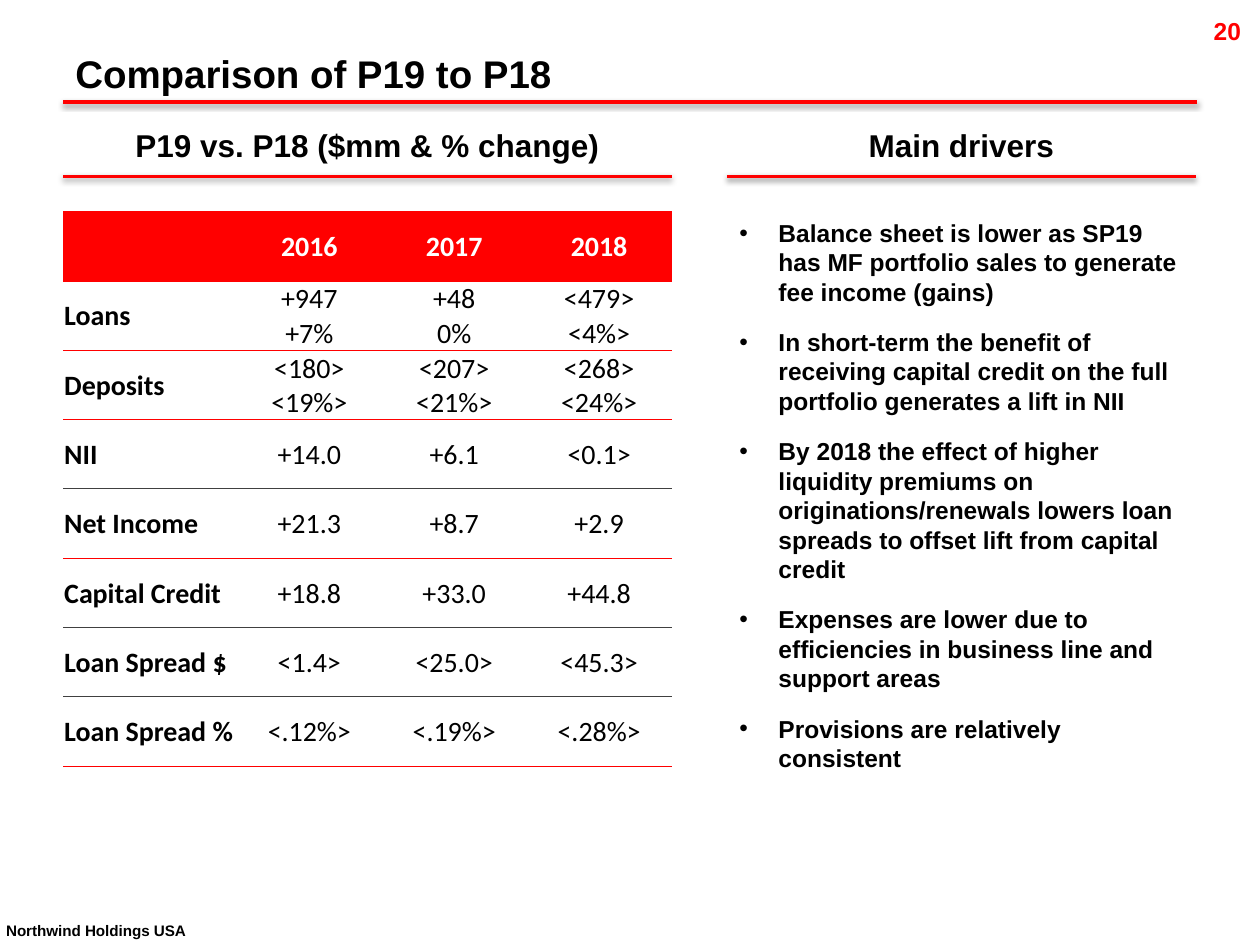
from lxml.etree import SubElement
from pptx import Presentation
from pptx.dml.color import RGBColor
from pptx.enum.shapes import MSO_CONNECTOR
from pptx.enum.text import MSO_ANCHOR as Anchor, PP_ALIGN as Align
from pptx.oxml import parse_xml
from pptx.oxml.ns import nsdecls, qn
from pptx.util import Inches, Pt

RED = RGBColor(255, 0, 0)
BLACK = RGBColor(0, 0, 0)
WHITE = RGBColor(255, 255, 255)
GRAY = RGBColor(64, 64, 64)

TITLE = "Comparison of P19 to P18"
PAGE = "20"
FOOT = "Northwind Holdings USA"
HEADS = ["P19 vs. P18 ($mm & % change)", "Main drivers"]
ROWS = [
    ["", "2016", "2017", "2018"],
    ["Loans", "+947\n+7%", "+48\n0%", "<479>\n<4%>"],
    ["Deposits", "<180>\n<19%>", "<207>\n<21%>", "<268>\n<24%>"],
    ["NII", "+14.0", "+6.1", "<0.1>"],
    ["Net Income", "+21.3", "+8.7", "+2.9"],
    ["Capital Credit", "+18.8", "+33.0", "+44.8"],
    ["Loan Spread $", "<1.4>", "<25.0>", "<45.3>"],
    ["Loan Spread %", "<.12%>", "<.19%>", "<.28%>"],
]
DARK = {"NII", "Capital Credit", "Loan Spread $"}
DRIVERS = [
    "Balance sheet is lower as SP19 has MF portfolio sales to generate fee income (gains)",
    "In short-term the benefit of receiving capital credit on the full portfolio generates a lift in NII",
    "By 2018 the effect of higher liquidity premiums on originations/renewals lowers loan spreads to offset lift from capital credit",
    "Expenses are lower due to efficiencies in business line and support areas",
    "Provisions are relatively consistent",
]

LEFT, WIDE = 0.5, 9
PANES = [(LEFT, 4.83), (5.77, 3.72)]
TOP, ROW = 1.68, 0.55
COLS = [1.38] + [1.15] * 3


def write(frame, lines, size=14, color=BLACK, bold=True, face="Arial",
          align=Align.LEFT, after=0, bullet=False, raised=False):
    for i, line in enumerate(lines):
        para = frame.paragraphs[0] if i == 0 else frame.add_paragraph()
        para.alignment = align
        para.space_after = Pt(after)
        if bullet:
            props = para._p.get_or_add_pPr()
            props.set("marL", str(Inches(0.31)))
            props.set("indent", str(-Inches(0.31)))
            SubElement(props, qn("a:buFont")).set("typeface", "Arial")
            SubElement(props, qn("a:buChar")).set("char", "•")
        run = para.add_run()
        run.text = line
        font = run.font
        font.size, font.bold, font.name = Pt(size), bold, face
        font.color.rgb = color
        if raised:
            run._r.get_or_add_rPr().set("baseline", "30000")


def box(slide, place, lines, anchor=Anchor.TOP, wrap=True, **style):
    frame = slide.shapes.add_textbox(*map(Inches, place)).text_frame
    frame.word_wrap = wrap
    frame.vertical_anchor = anchor
    write(frame, lines, **style)
    return frame


def rule(slide, x, y, width):
    line = slide.shapes.add_connector(
        MSO_CONNECTOR.STRAIGHT, *map(Inches, (x, y, x + width, y)))
    line.line.color.rgb = RED
    line.line.width = Pt(2)
    line._element.spPr.append(parse_xml(
        f'<a:effectLst {nsdecls("a")}><a:outerShdw blurRad="{Pt(3.1)}" '
        f'dist="{Pt(1.6)}" dir="5400000" rotWithShape="0">'
        '<a:srgbClr val="000000"><a:alpha val="38000"/></a:srgbClr>'
        '</a:outerShdw></a:effectLst>'))


def edge(cell, above, below):
    props = cell._tc.get_or_add_tcPr()
    sides = {"lnL": None, "lnR": None, "lnT": above, "lnB": below}
    for i, (side, color) in enumerate(sides.items()):
        fill = (f'<a:solidFill><a:srgbClr val="{color}"/></a:solidFill>'
                if color else "<a:noFill/>")
        props.insert(i, parse_xml(
            f'<a:{side} {nsdecls("a")} w="{Pt(0.5)}">{fill}</a:{side}>'))


def grid(slide):
    size = (LEFT, TOP, sum(COLS), ROW * len(ROWS))
    table = slide.shapes.add_table(
        len(ROWS), len(COLS), *map(Inches, size)).table
    table.horz_banding = table.first_row = False
    for col, width in zip(table.columns, COLS):
        col.width = Inches(width)
    above = RED
    for r, row in enumerate(ROWS):
        table.rows[r].height = Inches(ROW)
        below = GRAY if row[0] in DARK else RED
        for c, text in enumerate(row):
            cell = table.cell(r, c)
            cell.margin_left = cell.margin_right = cell.margin_top = Inches(0.01)
            cell.margin_bottom = 0
            cell.vertical_anchor = Anchor.MIDDLE
            if r == 0:
                cell.fill.solid()
                cell.fill.fore_color.rgb = RED
            else:
                cell.fill.background()
            edge(cell, above, below)
            if text:
                write(cell.text_frame, text.split("\n"), size=16,
                      face="Calibri", color=BLACK if r else WHITE,
                      bold=r == 0 or c == 0,
                      align=Align.CENTER if c else Align.LEFT)
        above = below


def main():
    deck = Presentation()
    deck.slide_width, deck.slide_height = Inches(10), Inches(7.5)
    slide = deck.slides.add_slide(deck.slide_layouts[6])

    page = box(slide, (9.55, 0.08, 0.36, 0.34), [PAGE], wrap=False,
               color=RED, align=Align.RIGHT)
    page.margin_left = page.margin_right = Inches(0.06)
    rule(slide, LEFT, 0.81, WIDE)
    box(slide, (-0.05, 7.24, 1.91, 0.35), [FOOT], anchor=Anchor.MIDDLE,
        wrap=False, size=15, raised=True)
    box(slide, (LEFT, 0.34, WIDE, 0.47), [TITLE], anchor=Anchor.BOTTOM, size=22)
    grid(slide)
    for head, (x, width) in zip(HEADS, PANES):
        box(slide, (x, 0.95, width, 0.4), [head], size=18, align=Align.CENTER)
        rule(slide, x, 1.4, width)
    x, width = PANES[1]
    box(slide, (x, TOP, width, 4.54), DRIVERS, after=12, bullet=True)
    deck.save("out.pptx")


if __name__ == "__main__":
    main()
